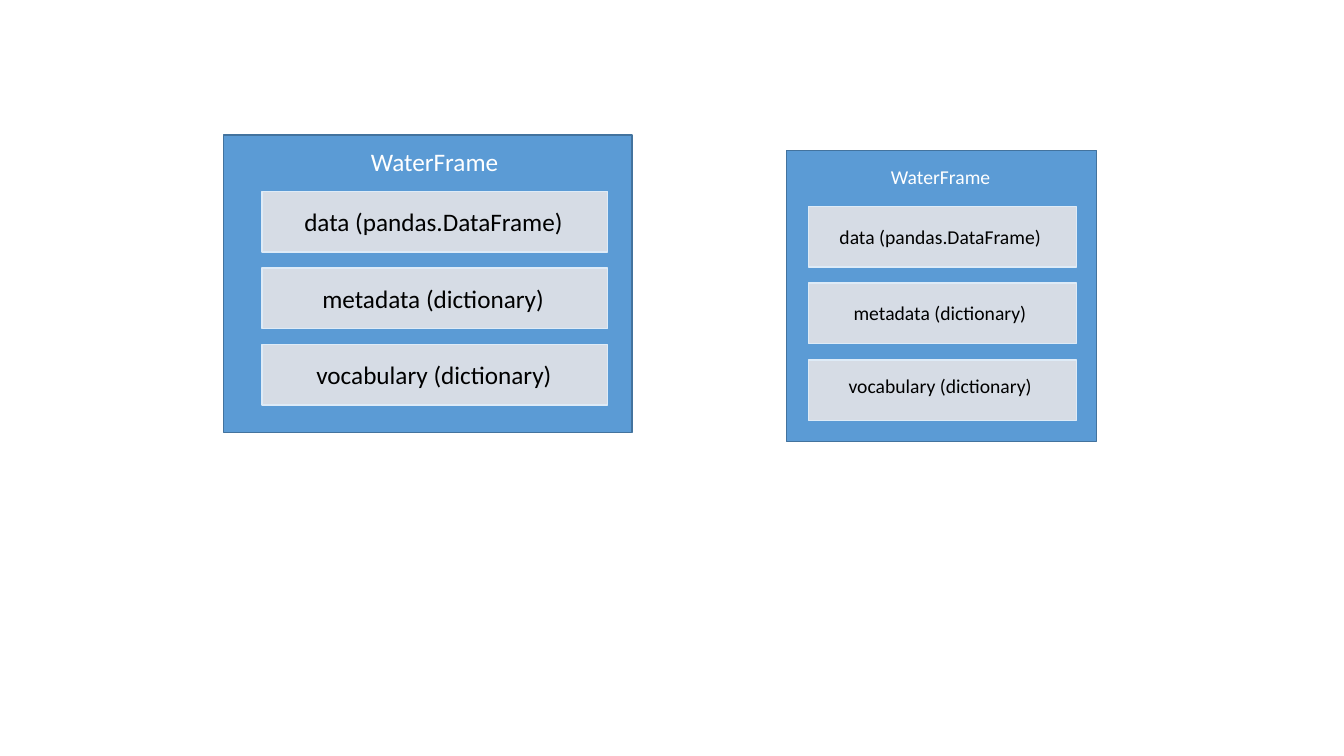
from pptx import Presentation
from pptx.dml.color import RGBColor
from pptx.enum.shapes import MSO_SHAPE
from pptx.enum.text import MSO_AUTO_SIZE
from pptx.util import Pt

FIELDS = ["data (pandas.DataFrame)", "metadata (dictionary)", "vocabulary (dictionary)"]
BAR_HIGH = 43.2
BAR_STEP = 54.72


def color(code):
    return RGBColor.from_string(code)


def add_box(group, place, fill, line):
    box = group.shapes.add_shape(MSO_SHAPE.RECTANGLE, *map(Pt, place))
    box.shadow.inherit = False
    box.fill.solid()
    box.fill.fore_color.rgb = color(fill)
    box.line.color.rgb = color(line)
    box.line.width = Pt(1)


def add_label(group, text, place, size, ink):
    label = group.shapes.add_textbox(*map(Pt, place))
    frame = label.text_frame
    frame.word_wrap = False
    frame.auto_size = MSO_AUTO_SIZE.SHAPE_TO_FIT_TEXT
    frame.text = text
    font = frame.paragraphs[0].font
    font.name = "Calibri"
    font.size = Pt(size)
    font.color.rgb = color(ink)


def add_frame(slide, outer, bar, size, high, title, labels):
    """Draw a titled frame; bar is (left, top, width), labels are (left, drop, width)."""
    group = slide.shapes.add_group_shape()
    add_box(group, outer, "5B9BD5", "43739E")
    left, top, width = title
    add_label(group, "WaterFrame", (left, top, width, high), size, "FFFFFF")
    bar_left, bar_top, bar_width = bar
    for row, (text, (left, drop, width)) in enumerate(zip(FIELDS, labels)):
        top = bar_top + row * BAR_STEP
        add_box(group, (bar_left, top, bar_width, BAR_HIGH), "D6DCE5", "DEEBF7")
        add_label(group, text, (left, top + drop, width, high), size, "000000")


def main():
    deck = Presentation()
    deck.slide_width = Pt(960)
    deck.slide_height = Pt(540)
    slide = deck.slides.add_slide(deck.slide_layouts[6])
    add_frame(slide, (159.84, 96.48, 291.6, 212.4), (187.2, 136.8, 246.96),
              18, 28.8, (257.76, 100.8, 106.56),
              [(210.24, 7.2, 200.88), (223.2, 7.2, 174.96), (218.88, 7.2, 184.32)])
    add_frame(slide, (561.6, 107.28, 221.76, 208.08), (577.44, 147.6, 191.52),
              14, 24.48, (629.28, 114.48, 86.4),
              [(592.56, 9.36, 159.84), (602.64, 9.36, 139.68), (599.04, 6.48, 146.88)])
    deck.save("out.pptx")


if __name__ == "__main__":
    main()
